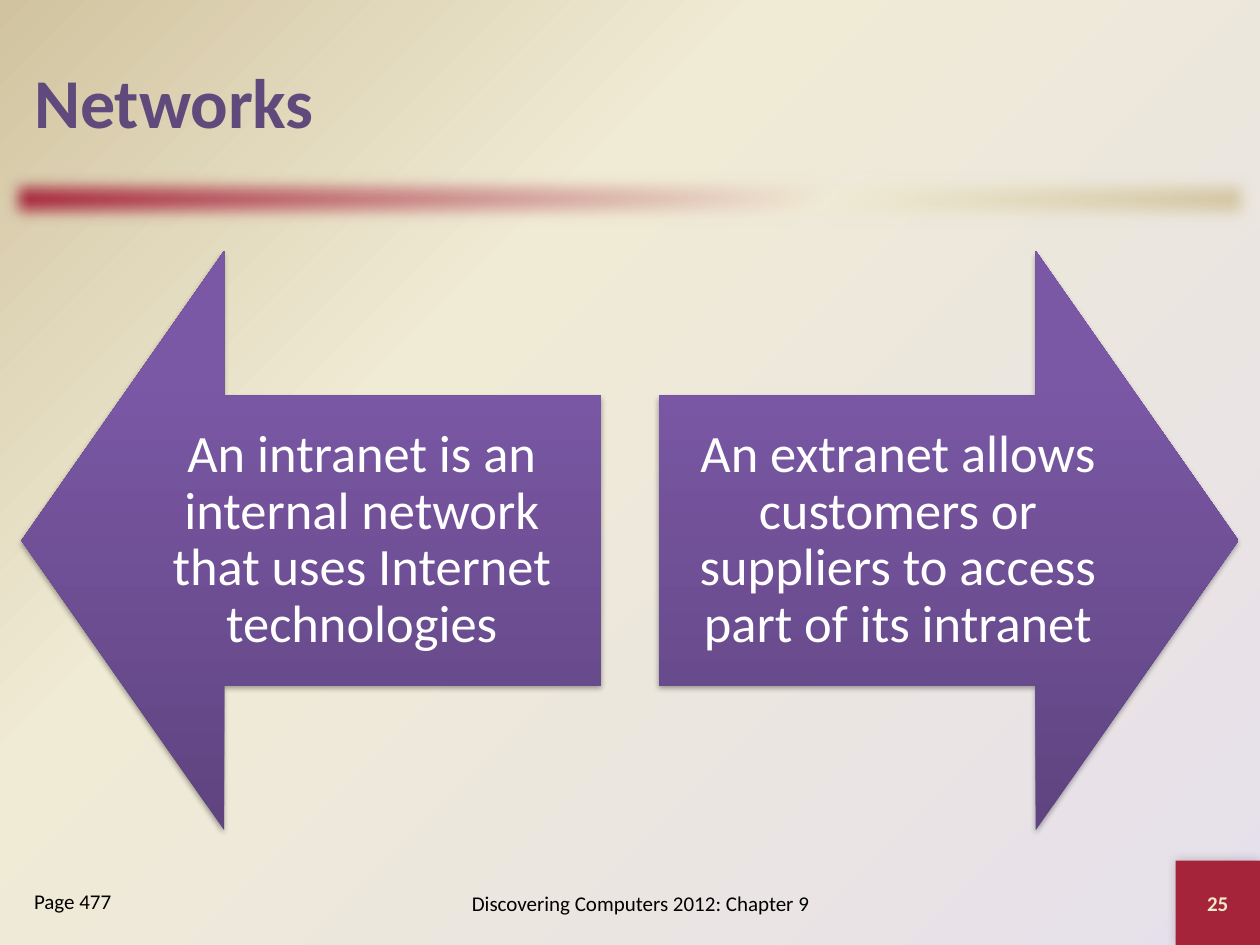
from lxml import etree
from pptx import Presentation
from pptx.dml.color import RGBColor
from pptx.enum.shapes import MSO_SHAPE
from pptx.enum.text import MSO_ANCHOR, MSO_AUTO_SIZE, PP_ALIGN
from pptx.oxml import parse_xml
from pptx.oxml.ns import nsdecls, qn
from pptx.util import Inches, Pt

LEFT, CENTER = PP_ALIGN.LEFT, PP_ALIGN.CENTER
TOP, MIDDLE = MSO_ANCHOR.TOP, MSO_ANCHOR.MIDDLE
RECT = MSO_SHAPE.RECTANGLE
LEFT_ARROW, RIGHT_ARROW = MSO_SHAPE.LEFT_ARROW, MSO_SHAPE.RIGHT_ARROW


class Theme:
    font = "Calibri"
    title, body, badge_text, footer = "604A7B", "FFFFFF", "EEEBCA", "000000"
    red = "A52439"
    title_size, body_size, small_size = 40, 30, 12
    background = [(0, "E6E0EC"), (65, "F0EBD5"), (100, "D1C39F")]
    bar = [(0, red), (65, "F0EBD5"), (100, "D1C39F")]
    arrow = [(0, "5F4480"), (80, "7B58A6"), (100, "7C57A8")]


def gradient(props, stops, shade):
    """Replace the solid fill in props by a gradient."""
    gs = "".join(f'<a:gs pos="{pos * 1000}"><a:srgbClr val="{color}"/></a:gs>'
                 for pos, color in stops)
    fill = parse_xml(f'<a:gradFill {nsdecls("a")} rotWithShape="1">'
                     f'<a:gsLst>{gs}</a:gsLst>{shade}</a:gradFill>')
    props.replace(props.find(qn("a:solidFill")), fill)


def put_text(shape, text, size, color, bold=False, align=CENTER, anchor=MIDDLE,
             inset=None, spacing=None):
    tf = shape.text_frame
    tf.word_wrap = True
    tf.auto_size = MSO_AUTO_SIZE.NONE
    tf.vertical_anchor = anchor
    if inset is not None:
        tf.margin_left = tf.margin_right = Inches(inset)
        tf.margin_top = tf.margin_bottom = Inches(inset)
    p = tf.paragraphs[0]
    p.alignment = align
    p.space_before = Pt(0)
    if spacing:
        p.line_spacing = spacing
    r = p.add_run()
    r.text = text
    r.font.name = Theme.font
    r.font.size = Pt(size)
    r.font.bold = bold
    r.font.color.rgb = RGBColor.from_string(color)


prs = Presentation()
prs.slide_width, prs.slide_height = Inches(10), Inches(7.5)
s = prs.slides.add_slide(prs.slide_layouts[1])

# Background
s.background.fill.solid()
gradient(s._element.find(".//" + qn("p:bgPr")), Theme.background,
         '<a:path path="circle"><a:fillToRect l="100000" t="100000"/></a:path>')

# Title and page reference
title, page = s.shapes.title, s.placeholders[1]
title.left, title.top, title.width, title.height = map(Inches, (0.17, 0.17, 9.67, 1.25))
put_text(title, "Networks", Theme.title_size, Theme.title, bold=True, align=LEFT)

page.left, page.top, page.width, page.height = map(Inches, (0.17, 7, 1.83, 0.5))
pPr = page.text_frame.paragraphs[0]._p.get_or_add_pPr()
pPr.set("marL", "0")
pPr.set("indent", "0")
etree.SubElement(pPr, qn("a:buNone"))
put_text(page, "Page 477", Theme.small_size, Theme.footer, align=LEFT, anchor=TOP)

# Divider bar, page badge and arrows
SHADOW = ('<a:outerShdw {ns} blurRad="{blur}" dist="{dist}" dir="{dir}" rotWithShape="0">'
          '<a:srgbClr val="000000"><a:alpha val="{alpha}"/></a:srgbClr></a:outerShdw>')
soft_edge = '<a:softEdge {ns} rad="127000"/>'.format(ns=nsdecls("a"))
badge_shadow = SHADOW.format(ns=nsdecls("a"), blur=Pt(6), dist=0, dir=13500000, alpha=20000)
arrow_shadow = SHADOW.format(ns=nsdecls("a"), blur=Pt(3.1), dist=Pt(1.8), dir=5400000,
                             alpha=35000)
bar_shade = '<a:lin ang="2700000" scaled="1"/>'
arrow_shade = '<a:lin ang="16200000" scaled="0"/>'

shapes = []
for kind, box, stops, shade, effect in [
    (RECT, (0, 1.33, 10, 0.5), Theme.bar, bar_shade, soft_edge),
    (RECT, (9.33, 6.83, 0.67, 0.67), None, None, badge_shadow),
    (LEFT_ARROW, (0.17, 1.99, 4.6, 4.6), Theme.arrow, arrow_shade, arrow_shadow),
    (RIGHT_ARROW, (5.23, 1.99, 4.6, 4.6), Theme.arrow, arrow_shade, arrow_shadow),
]:
    sp = s.shapes.add_shape(kind, *map(Inches, box))
    sp.fill.solid()
    sp.fill.fore_color.rgb = RGBColor.from_string(Theme.red)
    sp.line.fill.background()
    sp.shadow.inherit = False
    spPr = sp._element.spPr
    spPr.find(qn("a:effectLst")).append(parse_xml(effect))
    if stops:
        gradient(spPr, stops, shade)
    shapes.append(sp)
bar, badge, *arrows = shapes

put_text(badge, "25", Theme.small_size, Theme.badge_text, bold=True)

for arrow, text in zip(arrows, [
    "An intranet is an internal network that uses Internet technologies",
    "An extranet allows customers or suppliers to access part of its intranet",
]):
    arrow.adjustments[0], arrow.adjustments[1] = 0.5, 0.35
    put_text(arrow, text, Theme.body_size, Theme.body, inset=0.23, spacing=0.9)

# Footer
footer = s.shapes.add_textbox(*map(Inches, (3, 6.92, 4.17, 0.5)))
put_text(footer, "Discovering Computers 2012: Chapter 9", Theme.small_size, Theme.footer)

prs.save("out.pptx")
